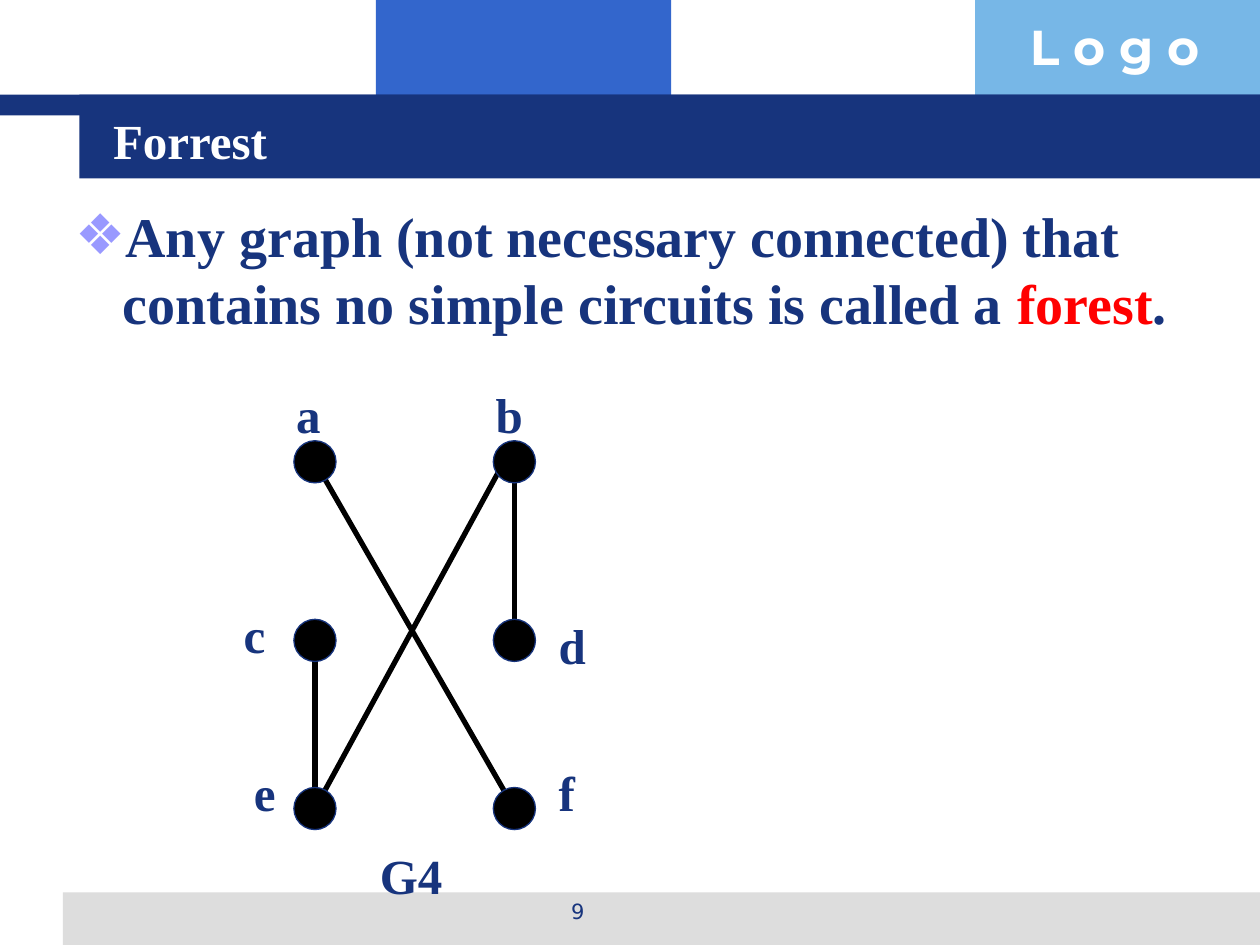
from dataclasses import dataclass

from lxml import etree
from pptx import Presentation
from pptx import util as u
from pptx.dml.color import RGBColor
from pptx.enum import shapes, text
from pptx.oxml import ns


@dataclass(frozen=True)
class Theme:
    """Colours, fonts and type sizes of the slide."""
    navy: str = "17347D"
    blue: str = "3366CC"
    sky: str = "77B7E7"
    grey: str = "DDDDDD"
    lilac: str = "9999FF"
    red: str = "FF0000"
    black: str = "000000"
    white: str = "FFFFFF"
    serif: str = "Times New Roman"
    sans: str = "DejaVu Sans"
    display: str = "Montserrat"
    body: int = 32
    heading: int = 28
    footer: int = 12


T = Theme()
NODE = 0.85
LEFT, RIGHT = 6.35, 10.37
TOP, MIDDLE, BOTTOM = 9.31, 12.91, 16.3


def rgb(value):
    """Turn a hex string into a colour."""
    return RGBColor.from_string(value)


def lengths(*values):
    """Turn centimetre values into lengths."""
    return [u.Cm(v) for v in values]


def add_block(s, box, fill, kind=shapes.MSO_SHAPE.RECTANGLE, outline=None):
    """Add a flat filled shape with an optional thin outline."""
    sp = s.shapes.add_shape(kind, *lengths(*box))
    sp.shadow.inherit = False
    sp.fill.solid()
    sp.fill.fore_color.rgb = rgb(fill)
    if outline:
        sp.line.color.rgb = rgb(outline)
        sp.line.width = u.Pt(0.75)
    else:
        sp.line.fill.background()


def add_node(s, x, y):
    """Add a graph vertex centred on a point."""
    box = (x - NODE / 2, y - NODE / 2, NODE, NODE)
    add_block(s, box, T.black, shapes.MSO_SHAPE.OVAL, T.navy)


def add_edge(s, ends):
    """Add a graph edge between two points."""
    c = s.shapes.add_connector(shapes.MSO_CONNECTOR.STRAIGHT, *lengths(*ends))
    c.line.color.rgb = rgb(T.black)
    c.line.width = u.Pt(3)
    etree.SubElement(c._element.spPr, ns.qn("a:effectLst"))


def add_text(s, box, runs, size, font=T.serif, bold=True,
             align=text.PP_ALIGN.LEFT, anchor=text.MSO_ANCHOR.TOP):
    """Add a one-paragraph text box from (text, colour) runs."""
    tf = s.shapes.add_textbox(*lengths(*box)).text_frame
    tf.word_wrap = True
    tf.vertical_anchor = anchor
    p = tf.paragraphs[0]
    p.alignment = align
    for words, colour in runs:
        r = p.add_run()
        r.text = words
        r.font.name, r.font.size, r.font.bold = font, u.Pt(size), bold
        r.font.color.rgb = rgb(colour)
    return p


def add_bullet(p, char, colour, indent):
    """Give a paragraph a coloured bullet with a hanging indent."""
    pPr = p._p.get_or_add_pPr()
    pPr.set("marL", str(u.Cm(indent)))
    pPr.set("indent", str(-u.Cm(indent)))
    clr = etree.SubElement(pPr, ns.qn("a:buClr"))
    etree.SubElement(clr, ns.qn("a:srgbClr"), val=colour)
    etree.SubElement(pPr, ns.qn("a:buFont"), typeface=T.sans)
    etree.SubElement(pPr, ns.qn("a:buChar"), char=char)


def add_frame(s):
    """Add the coloured bands, the header word and the page number."""
    for box, fill in (
        ((7.58, 0, 5.95, 2.34), T.blue),
        ((19.66, 0, 5.74, 2.34), T.sky),
        ((1.27, 17.99, 24.13, 1.06), T.grey),
        ((0, 1.91, 25.4, 0.42), T.navy),
        ((1.6, 1.91, 23.8, 1.69), T.navy),
    ):
        add_block(s, box, fill)
    add_text(s, (20.51, 0.2, 4.89, 1.45), [("L o g o", T.white)],
             T.heading, T.display)
    add_text(s, (8.69, 17.99, 5.92, 0.89), [("9", T.navy)], T.footer, T.sans,
             bold=False, align=text.PP_ALIGN.CENTER)


def add_graph(s):
    """Add the forest graph with its vertex labels and caption."""
    for ends in (
        (LEFT, 13.12, LEFT, 16.09),
        (10.16, TOP, LEFT, BOTTOM),
        (RIGHT, BOTTOM, LEFT, TOP),
        (RIGHT, 9.53, RIGHT, 12.49),
    ):
        add_edge(s, ends)
    for y in (TOP, MIDDLE, BOTTOM):
        for x in (LEFT, RIGHT):
            add_node(s, x, y)
    for label, x, y, width in (
        ("a", 5.72, 7.62, 1.06), ("b", 9.74, 7.62, 1.06),
        ("c", 4.66, 12.06, 1.06), ("d", 11.01, 12.28, 1.06),
        ("e", 4.87, 15.24, 1.06), ("f", 11.01, 15.24, 1.06),
        ("G4", 7.41, 16.93, 1.91),
    ):
        add_text(s, (x, y, width, 1.44), [(label, T.navy)], T.heading)


def main():
    """Build and save the slide."""
    prs = Presentation()
    prs.slide_width, prs.slide_height = lengths(25.4, 19.05)
    s = prs.slides.add_slide(prs.slide_layouts[6])
    add_frame(s)
    add_text(s, (2.03, 2.03, 21.67, 1.57), [("Forrest", T.white)], T.heading,
             anchor=text.MSO_ANCHOR.MIDDLE)
    p = add_text(s, (1.27, 3.94, 23.7, 13.56), [
        ("Any graph (not necessary connected) that contains no simple "
         "circuits is called a ", T.navy),
        ("forest", T.red),
        (".", T.navy),
    ], T.body)
    add_bullet(p, "❖", T.lilac, 0.95)
    add_graph(s)
    prs.save("out.pptx")


if __name__ == "__main__":
    main()
